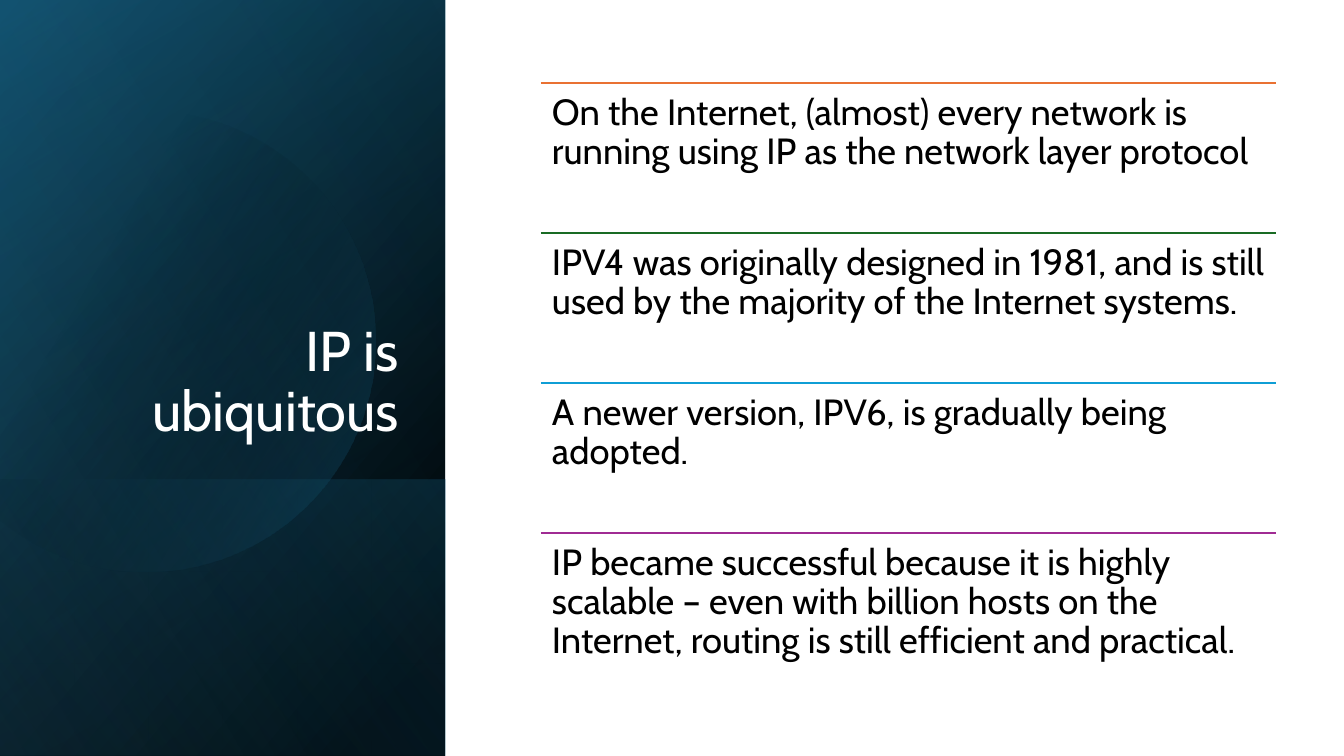
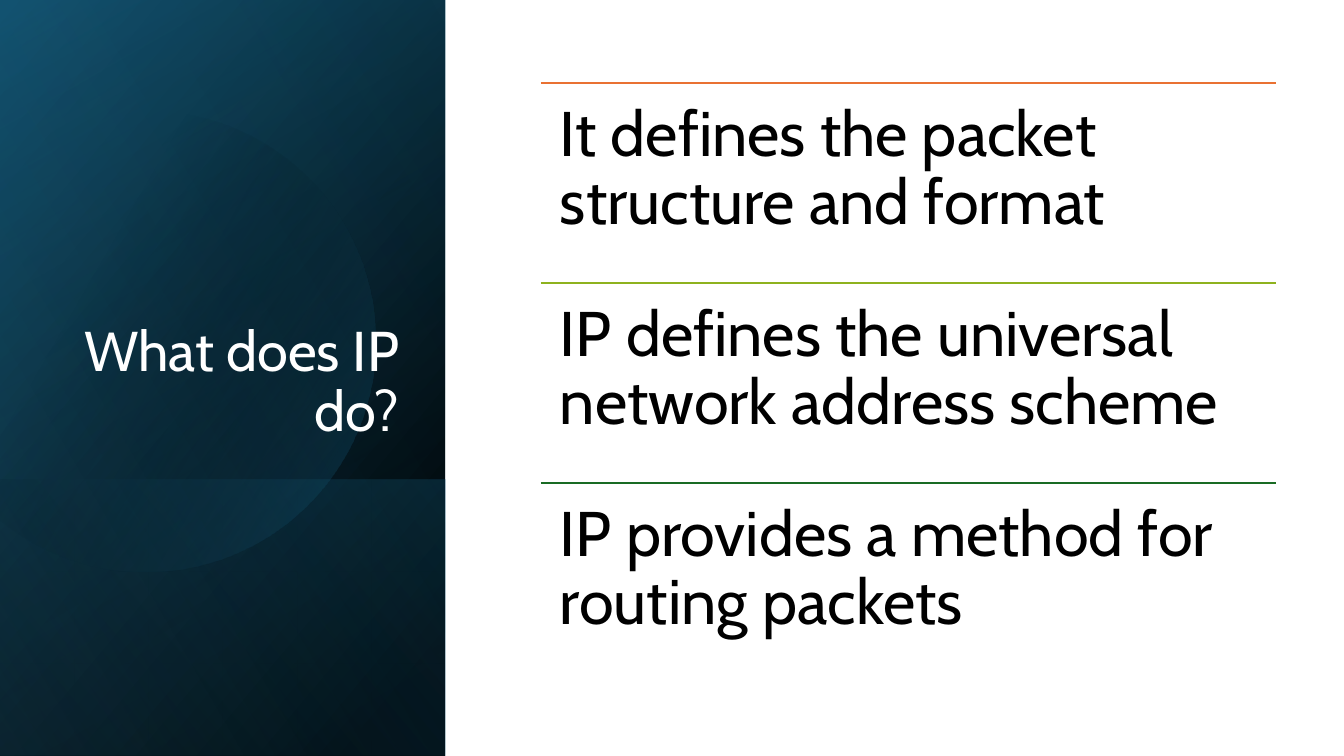
from math import acos, cos, pi, sin

from lxml.etree import SubElement
from pptx import Presentation
from pptx.dml.color import RGBColor
from pptx.enum.shapes import MSO_CONNECTOR, MSO_SHAPE
from pptx.enum.text import MSO_ANCHOR, PP_ALIGN
from pptx.oxml.ns import qn
from pptx.util import Emu, Pt

EMU_PER_PX = 914400 / 100.8
SLIDE_WIDTH, SLIDE_HEIGHT = 1344, 756
PANEL_WIDTH, PANEL_STEP = 445, 480
LIST_LEFT, LIST_TOP, LIST_WIDTH, LIST_HEIGHT = 541, 83, 735, 600
FONT = "Cabin"

BLACK = RGBColor(0x00, 0x00, 0x00)
WHITE = RGBColor(0xFF, 0xFF, 0xFF)
DEEP_TEAL = RGBColor(0x10, 0x48, 0x62)
TEAL = RGBColor(0x15, 0x60, 0x82)
SKY = RGBColor(0x46, 0xB1, 0xE1)
ORANGE = RGBColor(0xE9, 0x71, 0x32)
LIME = RGBColor(0x8E, 0xB2, 0x1E)
GREEN = RGBColor(0x19, 0x6B, 0x24)
BLUE = RGBColor(0x0F, 0x9E, 0xD5)
PURPLE = RGBColor(0xA0, 0x2B, 0x93)


def px(length):
    return Emu(round(length * EMU_PER_PX))


class Deck:
    def __init__(self):
        self.presentation = Presentation()
        self.presentation.slide_width = px(SLIDE_WIDTH)
        self.presentation.slide_height = px(SLIDE_HEIGHT)
        self.slide = None

    def add_slide(self, title):
        blank = self.presentation.slide_layouts[6]
        self.slide = self.presentation.slides.add_slide(blank)
        self.side_panel()
        self.text(title, (65, 185, 344, 264), 40, WHITE, inset=(10, 5),
                  align=PP_ALIGN.RIGHT, anchor=MSO_ANCHOR.BOTTOM)

    def gradient(self, shape, angle, *stops):
        """Fill from two (position, colour, opacity) stops; angle is clockwise."""
        shape.shadow.inherit = False
        shape.line.fill.background()
        fill = shape.fill
        fill.gradient()
        fill.gradient_angle = 360 - angle
        for stop, (position, color, _) in zip(fill.gradient_stops, stops):
            stop.position = position
            stop.color.rgb = color
        colors = shape._element.spPr.iter(qn("a:srgbClr"))
        for color, (_, _, opacity) in zip(colors, stops):
            SubElement(color, qn("a:alpha"), val=str(round(opacity * 100000)))

    def band(self, top, angle, *stops):
        """Shade the side panel from top down to the slide's lower edge."""
        band = self.slide.shapes.add_shape(
            MSO_SHAPE.RECTANGLE, 0, px(top), px(PANEL_WIDTH), px(SLIDE_HEIGHT - top))
        self.gradient(band, angle, *stops)

    def disc(self, center_x, center_y, radius, angle, *stops):
        """Draw a circle cut off at the slide's left edge."""
        reach = acos(-center_x / radius)
        steps = 120
        turns = [reach * (2 * i / steps - 1) for i in range(steps + 1)]
        points = [(px(center_x + radius * cos(turn)), px(center_y + radius * sin(turn)))
                  for turn in turns]
        builder = self.slide.shapes.build_freeform(*points[0])
        builder.add_line_segments(points[1:], close=True)
        self.gradient(builder.convert_to_shape(), angle, *stops)

    def side_panel(self):
        self.band(0, 220, (0.08, BLACK, 1), (1, DEEP_TEAL, 1))
        self.band(0, 240, (0, BLACK, 0), (0.99, TEAL, 0.46))
        self.band(PANEL_STEP, 140, (0.02, TEAL, 0.29), (1, BLACK, 0.3))
        self.disc(145, 341, 230, 30, (0.29, BLACK, 0), (1, TEAL, 0.43))
        self.band(0, 150, (0, BLACK, 0), (0.99, SKY, 0.11))

    def text(self, words, box, size, color, inset,
             align=PP_ALIGN.LEFT, anchor=MSO_ANCHOR.TOP):
        frame = self.slide.shapes.add_textbox(*map(px, box)).text_frame
        frame.word_wrap = True
        frame.vertical_anchor = anchor
        frame.margin_left = frame.margin_right = px(inset[0])
        frame.margin_top = frame.margin_bottom = px(inset[1])
        paragraph = frame.paragraphs[0]
        paragraph.text = words
        paragraph.alignment = align
        paragraph.line_spacing = 0.9
        paragraph.font.name = FONT
        paragraph.font.size = Pt(size)
        paragraph.font.color.rgb = color

    def rule(self, top, color):
        rule = self.slide.shapes.add_connector(
            MSO_CONNECTOR.STRAIGHT, px(LIST_LEFT), px(top),
            px(LIST_LEFT + LIST_WIDTH), px(top))
        rule.line.color.rgb = color
        rule.line.width = Pt(1)
        SubElement(rule._element.spPr, qn("a:effectLst"))

    def ruled_list(self, size, inset, statements):
        """Share the list height equally among (colour, words) statements."""
        row_height = LIST_HEIGHT // len(statements)
        for row, (color, words) in enumerate(statements):
            top = LIST_TOP + row * row_height
            self.rule(top, color)
            self.text(words, (LIST_LEFT, top, LIST_WIDTH, row_height),
                      size, BLACK, inset=(inset, inset))


def main():
    deck = Deck()

    deck.add_slide("IP is ubiquitous")
    deck.ruled_list(26, 11, [
        (ORANGE, "On the Internet, (almost) every network is running using IP "
                 "as the network layer protocol"),
        (GREEN, "IPV4 was originally designed in 1981, and is still used by "
                "the majority of the Internet systems."),
        (BLUE, "A newer version, IPV6, is gradually being adopted."),
        (PURPLE, "IP became successful because it is highly scalable – even with "
                 "billion hosts on the Internet, routing is still efficient and practical."),
    ])

    deck.add_slide("What does IP do?")
    deck.ruled_list(45, 19, [
        (ORANGE, "It defines the packet structure and format"),
        (LIME, "IP defines the universal network address scheme"),
        (GREEN, "IP provides a method for routing packets"),
    ])

    deck.presentation.save("out.pptx")


if __name__ == "__main__":
    main()
